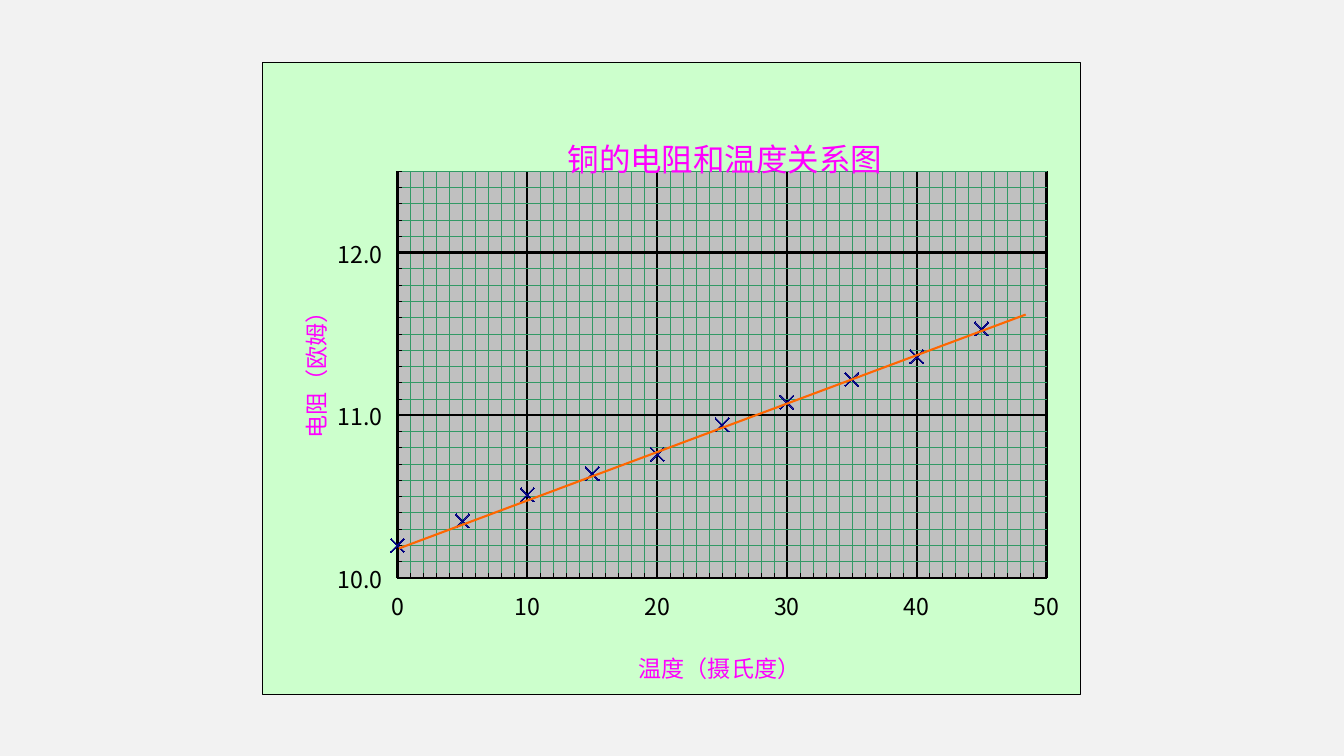
from lxml import etree
from pptx import Presentation
from pptx.chart.data import XyChartData
from pptx.dml.color import RGBColor
from pptx.enum.chart import XL_CHART_TYPE, XL_MARKER_STYLE, XL_TICK_LABEL_POSITION, XL_TICK_MARK
from pptx.enum.shapes import MSO_CONNECTOR
from pptx.oxml import parse_xml
from pptx.oxml.ns import nsdecls, qn
from pptx.util import Cm, Pt

SCATTER = XL_CHART_TYPE.XY_SCATTER
CROSS = XL_MARKER_STYLE.X
TICK_INSIDE = XL_TICK_MARK.INSIDE
LABELS_LOW = XL_TICK_LABEL_POSITION.LOW
STRAIGHT = MSO_CONNECTOR.STRAIGHT

FONT = "Noto Sans CJK SC"
BLACK, MAGENTA, NAVY = "000000", "FF00FF", "000080"
GREEN, ORANGE, GRAY = "339966", "FF6600", "808080"
PAGE, PALE_GREEN, SILVER = "F2F2F2", "CCFFCC", "C0C0C0"
THIN, THICK = 0.42, 1.69

TEMPERATURES = range(0, 50, 5)
RESISTANCES = [10.2, 10.35, 10.51, 10.64, 10.76, 10.94, 11.08, 11.22, 11.36, 11.53]


def color(value):
    return RGBColor.from_string(value)


def format_line(line, value, width):
    line.fill.solid()
    line.fill.fore_color.rgb = color(value)
    line.width = Pt(width)


def format_font(font, size, value):
    font.name = FONT
    font.size = Pt(size)
    font.bold = False
    font.color.rgb = color(value)


def box_properties(fill, border, width):
    """Fill and border for the chart area or the plot area."""
    return parse_xml(
        f'<c:spPr {nsdecls("c", "a")}>'
        f'<a:solidFill><a:srgbClr val="{fill}"/></a:solidFill>'
        f'<a:ln w="{int(Pt(width))}"><a:solidFill><a:srgbClr val="{border}"/></a:solidFill></a:ln>'
        '</c:spPr>')


def set_layout(parent, index, inner=False, **fractions):
    """Place a chart part by fractions of the chart area."""
    for old in parent.findall(qn("c:layout")):
        parent.remove(old)
    target = '<c:layoutTarget val="inner"/>' if inner else ""
    modes = "".join(f'<c:{key}Mode val="edge"/>' for key in ("x", "y"))
    values = "".join(f'<c:{key} val="{value}"/>' for key, value in fractions.items())
    parent.insert(index, parse_xml(
        f'<c:layout {nsdecls("c")}><c:manualLayout>{target}{modes}{values}'
        '</c:manualLayout></c:layout>'))


def write_title(title, text, size=16.5, value=MAGENTA, x=0, y=0, rotation=0):
    frame = title.text_frame
    frame.text = text
    format_font(frame.paragraphs[0].runs[0].font, size, value)
    body = title._element.find(".//" + qn("a:bodyPr"))
    body.set("rot", str(rotation * 60000))
    body.set("vert", "horz")
    set_layout(title._element, 1, x=x, y=y)


def format_axis(axis, low, high, major, minor):
    axis.minimum_scale, axis.maximum_scale = low, high
    axis.major_unit, axis.minor_unit = major, minor
    axis.major_tick_mark = axis.minor_tick_mark = TICK_INSIDE
    axis.tick_label_position = LABELS_LOW
    axis.has_major_gridlines = axis.has_minor_gridlines = True
    format_line(axis.major_gridlines.format.line, BLACK, THICK)
    minor_grid = axis._element.find(qn("c:minorGridlines"))
    grid_properties = etree.SubElement(minor_grid, qn("c:spPr"))
    grid_line = etree.SubElement(grid_properties, qn("a:ln"), w=str(int(Pt(THIN))))
    fill = etree.SubElement(grid_line, qn("a:solidFill"))
    etree.SubElement(fill, qn("a:srgbClr"), val=GREEN)
    format_line(axis.format.line, BLACK, THIN)
    format_font(axis.tick_labels.font, 16.5, BLACK)


def add_resistance_chart(slide, left, top, width, height):
    data = XyChartData()
    points = data.add_series("Series 1")
    for temperature, resistance in zip(TEMPERATURES, RESISTANCES):
        points.add_data_point(temperature, resistance)
    chart = slide.shapes.add_chart(SCATTER, left, top, width, height, data).chart
    chart.has_legend = False
    format_font(chart.font, 16.5, BLACK)
    chart.has_title = True
    write_title(chart.chart_title, "铜的电阻和温度关系图", size=22.5, x=0.366, y=0.1)

    # Axes
    temperature_axis, resistance_axis = chart.category_axis, chart.value_axis
    format_axis(temperature_axis, 0, 50, 10, 1)
    format_axis(resistance_axis, 10, 12.5, 1, 0.1)
    labels = resistance_axis.tick_labels
    labels.number_format, labels.number_format_is_linked = "0.0_ ", False
    write_title(temperature_axis.axis_title, "温度（摄氏度）", x=0.455, y=0.92)
    write_title(resistance_axis.axis_title, "电阻（欧姆）", x=0.035, y=0.37, rotation=-90)

    # Chart area and plot area
    chart_space = chart._chartSpace
    chart_space.find(qn("c:chart")).addnext(box_properties(PALE_GREEN, BLACK, THIN))
    plot_area = chart_space.find(".//" + qn("c:plotArea"))
    set_layout(plot_area, 0, inner=True, x=0.165, y=0.172, w=0.794, h=0.644)
    plot_area.append(box_properties(SILVER, GRAY, THIN))

    # Measured points
    plot = chart.plots[0]
    plot.vary_by_categories = False
    series = plot.series[0]
    series.format.line.fill.background()
    series.marker.style = CROSS
    series.marker.size = 10
    series.marker.format.fill.solid()
    series.marker.format.fill.fore_color.rgb = color(NAVY)
    format_line(series.marker.format.line, NAVY, 0.75)


def add_fit_line(slide, left, top, width, height):
    """Straight line through the points, placed within the chart box."""
    line = slide.shapes.add_connector(
        STRAIGHT,
        left + int(width * 0.167), top + int(height * 0.769),
        left + int(width * 0.933), top + int(height * 0.399))
    format_line(line.line, ORANGE, 1.5)
    etree.SubElement(line._element.spPr, qn("a:effectLst"))


def main():
    presentation = Presentation()
    presentation.slide_width, presentation.slide_height = Cm(33.87), Cm(19.05)
    slide = presentation.slides.add_slide(presentation.slide_layouts[6])
    slide.background.fill.solid()
    slide.background.fill.fore_color.rgb = color(PAGE)
    chart_box = Cm(6.61), Cm(1.57), Cm(20.62), Cm(15.93)
    add_resistance_chart(slide, *chart_box)
    add_fit_line(slide, *chart_box)
    presentation.save("out.pptx")


if __name__ == "__main__":
    main()
